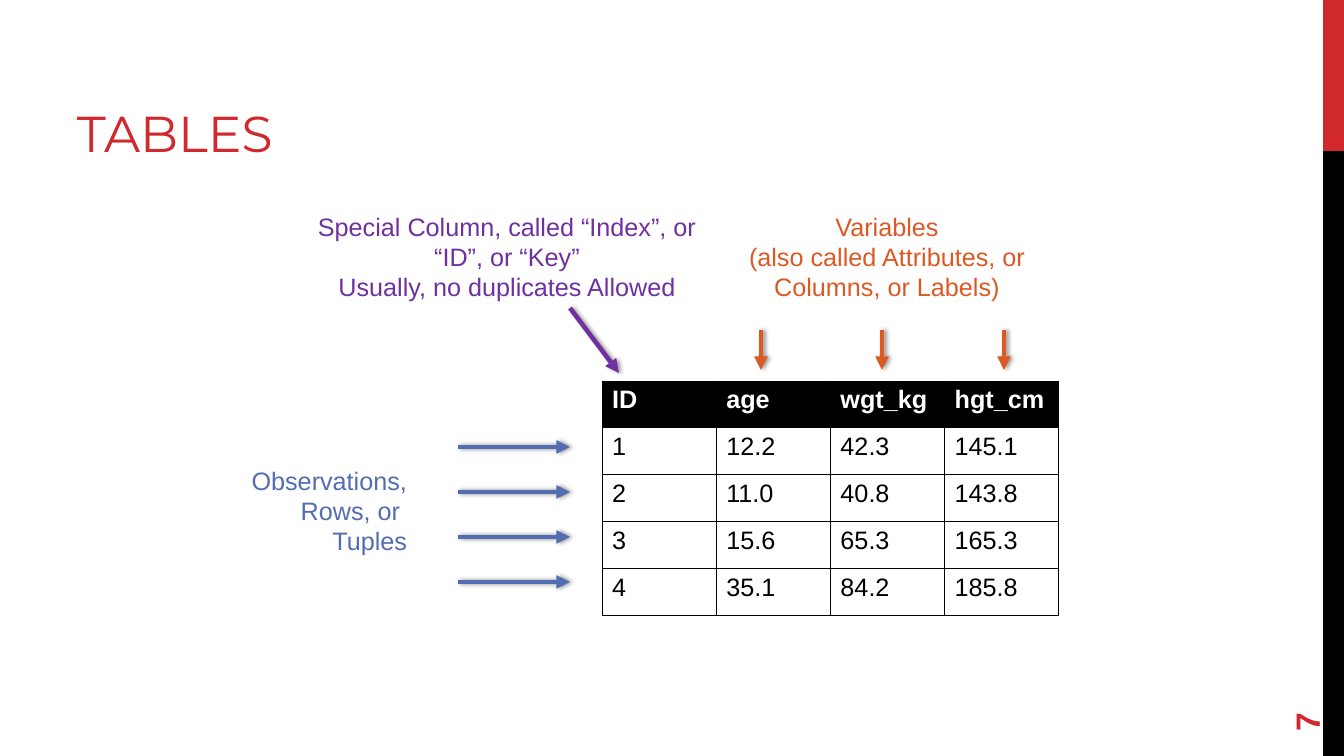
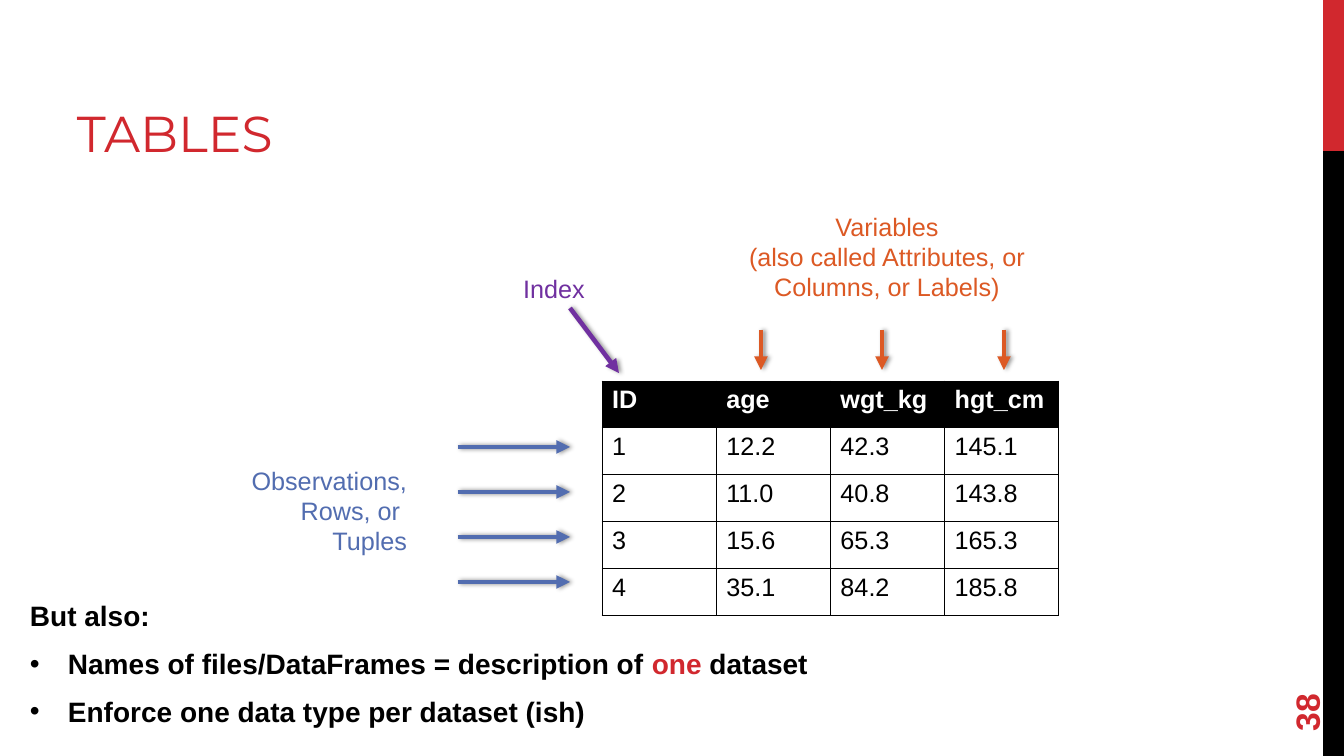
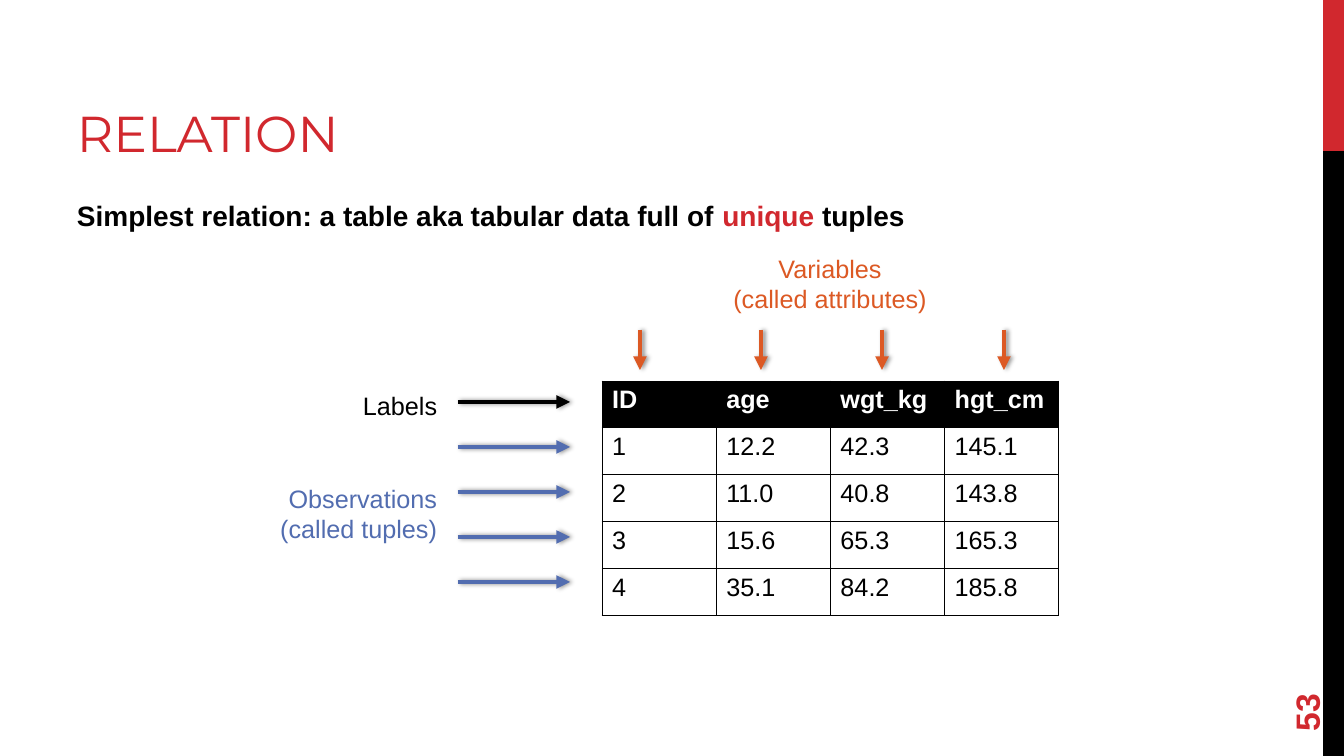
from lxml import etree
from pptx import Presentation
from pptx import util as u
from pptx.dml.color import RGBColor
from pptx.enum import shapes, text
from pptx.oxml import ns

RED = RGBColor(0xD1, 0x28, 0x2E)
BLACK = RGBColor(0, 0, 0)
WHITE = RGBColor(0xFF, 0xFF, 0xFF)
BLUE = RGBColor(0x52, 0x6D, 0xB0)
ORANGE = RGBColor(0xDC, 0x59, 0x24)
PURPLE = RGBColor(0x70, 0x30, 0xA0)

BODY_FONT, TITLE_FONT = "Arial", "Montserrat"
LEFT, CENTER, RIGHT = text.PP_ALIGN.LEFT, text.PP_ALIGN.CENTER, text.PP_ALIGN.RIGHT
TOP, MIDDLE, BOTTOM = text.MSO_ANCHOR.TOP, text.MSO_ANCHOR.MIDDLE, text.MSO_ANCHOR.BOTTOM

SLIDE_W, SLIDE_H = 1344, 756
TABLE_BOX = (602, 381, 457, 234)
RECORDS = [
    ("ID", "age", "wgt_kg", "hgt_cm"),
    ("1", "12.2", "42.3", "145.1"),
    ("2", "11.0", "40.8", "143.8"),
    ("3", "15.6", "65.3", "165.3"),
    ("4", "35.1", "84.2", "185.8"),
]
VARIABLES = ["Variables", "(also called Attributes, or Columns, or Labels)"]
OBSERVATIONS = ["Observations,", "Rows, or ", "Tuples"]


def px(length):
    return u.Emu(round(length * 914400 / 100.8))


def sub(parent, tag, **attributes):
    return etree.SubElement(parent, ns.qn(tag), {k: str(v) for k, v in attributes.items()})


def add_bullet(paragraph):
    properties = paragraph._p.get_or_add_pPr()
    properties.set("marL", str(px(38)))
    properties.set("indent", str(-px(38)))
    sub(properties, "a:buFont", typeface=BODY_FONT)
    sub(properties, "a:buChar", char="•")


def add_text(slide, box, lines, color, size=18, align=LEFT, bold=False,
             font=BODY_FONT, anchor=TOP, bulleted_from=None):
    label = slide.shapes.add_textbox(*map(px, box))
    frame = label.text_frame
    frame.word_wrap = True
    frame.vertical_anchor = anchor
    for i, line in enumerate(lines):
        paragraph = frame.paragraphs[0] if i == 0 else frame.add_paragraph()
        paragraph.alignment = align
        if bulleted_from is not None and i >= bulleted_from:
            add_bullet(paragraph)
            paragraph.space_before = u.Pt(10)
        paragraph.font.name = font
        paragraph.font.size = u.Pt(size)
        paragraph.font.bold = bold
        paragraph.font.color.rgb = color
        for part in [line] if isinstance(line, str) else line:
            wording, accent = (part, None) if isinstance(part, str) else part
            run = paragraph.add_run()
            run.text = wording
            if accent is not None:
                run.font.color.rgb = accent
    return label


def add_arrow(slide, start, end, color):
    arrow = slide.shapes.add_connector(
        shapes.MSO_CONNECTOR.STRAIGHT, *map(px, (*start, *end)))
    arrow.line.width = u.Pt(3.25)
    arrow.line.color.rgb = color
    sub(arrow.line._get_or_add_ln(), "a:tailEnd", type="triangle")
    effects = sub(arrow._element.spPr, "a:effectLst")
    shadow = sub(effects, "a:outerShdw", blurRad=u.Pt(3.1), dist=u.Pt(1.8),
                 dir=0, rotWithShape=0)
    sub(sub(shadow, "a:srgbClr", val=BLACK), "a:alpha", val=40000)


def add_frame(deck, title, number):
    slide = deck.slides.add_slide(deck.slide_layouts[6])
    band_w, split = 21, 151
    for top, height, color in ((0, split, RED), (split, SLIDE_H - split, BLACK)):
        band = slide.shapes.add_shape(
            shapes.MSO_SHAPE.RECTANGLE,
            *map(px, (SLIDE_W - band_w, top, band_w, height)))
        band.shadow.inherit = False
        band.fill.solid()
        band.fill.fore_color.rgb = color
        band.line.fill.background()
    add_text(slide, (67, 17, 851, 151), [title], RED, size=36,
             font=TITLE_FONT, anchor=BOTTOM)
    page = add_text(slide, (1234, 642, 145, 53), [str(number)], RED, size=24,
                    bold=True, anchor=MIDDLE)
    page.rotation = 270
    return slide


def style_cell(cell, value, is_header):
    borders = cell._tc.get_or_add_tcPr()
    for side in ("a:lnL", "a:lnR", "a:lnT", "a:lnB"):
        edge = sub(borders, side, w=u.Pt(0.75))
        sub(sub(edge, "a:solidFill"), "a:srgbClr", val=BLACK)
    if is_header:
        cell.fill.solid()
        cell.fill.fore_color.rgb = BLACK
    else:
        cell.fill.background()
    cell.text = value
    font = cell.text_frame.paragraphs[0].font
    font.name = BODY_FONT
    font.size = u.Pt(18)
    font.bold = is_header
    font.color.rgb = WHITE if is_header else BLACK


def add_records(slide, box):
    table = slide.shapes.add_table(
        len(RECORDS), len(RECORDS[0]), *map(px, box)).table
    for r, record in enumerate(RECORDS):
        for c, value in enumerate(record):
            style_cell(table.cell(r, c), value, r == 0)


def add_row_arrows(slide, box, first, last, color):
    left, top = box[:2]
    for row in range(first, last + 1):
        y = top + 21 + 45 * row
        add_arrow(slide, (left - 144, y), (left - 32, y), color)


def add_column_arrows(slide, box, first):
    left, top = box[:2]
    for column in range(first, len(RECORDS[0])):
        x = left + 38 + 364 * column // 3
        add_arrow(slide, (x, top - 51), (x, top - 11), ORANGE)


def add_diagram(slide, box, observations, observations_box, variables,
                variables_box, first_column):
    add_records(slide, box)
    add_row_arrows(slide, box, 1, len(RECORDS) - 1, BLUE)
    add_text(slide, observations_box, observations, BLUE, align=RIGHT)
    add_column_arrows(slide, box, first_column)
    add_text(slide, variables_box, variables, ORANGE, align=CENTER)


def add_tables_slide(deck, number, index_lines, index_box):
    slide = add_frame(deck, "TABLES", number)
    add_diagram(slide, TABLE_BOX, OBSERVATIONS, (219, 460, 198, 101),
                VARIABLES, (715, 206, 344, 101), 1)
    left, top = TABLE_BOX[:2]
    add_arrow(slide, (left - 32, top - 73), (left + 17, top - 8), PURPLE)
    add_text(slide, index_box, index_lines, PURPLE, align=CENTER)
    return slide


def add_relation_slide(deck, number):
    slide = add_frame(deck, "RELATION", number)
    add_text(slide, (67, 194, 1120, 482),
             [["Simplest relation: a table aka tabular data full of ",
               ("unique", RED), " tuples"]], BLACK, size=20, bold=True)
    add_diagram(slide, TABLE_BOX, ["Observations", "(called tuples)"],
                (249, 478, 198, 71), ["Variables", "(called attributes)"],
                (722, 248, 216, 71), 0)
    add_row_arrows(slide, TABLE_BOX, 0, 0, BLACK)
    add_text(slide, (321, 385, 126, 40), ["Labels"], BLACK, align=RIGHT)


def main():
    deck = Presentation()
    deck.slide_width, deck.slide_height = px(SLIDE_W), px(SLIDE_H)
    add_tables_slide(
        deck, 7,
        ["Special Column, called “Index”, or “ID”, or “Key”",
         "Usually, no duplicates Allowed"], (300, 206, 414, 101))
    naming = add_tables_slide(deck, 38, ["Index"], (347, 268, 414, 40))
    add_text(naming, (20, 594, 840, 146),
             ["But also:",
              ["Names of files/DataFrames = description of ", ("one ", RED), "dataset"],
              "Enforce one data type per dataset (ish)"],
             BLACK, size=20, bold=True, bulleted_from=1)
    add_relation_slide(deck, 53)
    deck.save("out.pptx")


if __name__ == "__main__":
    main()
